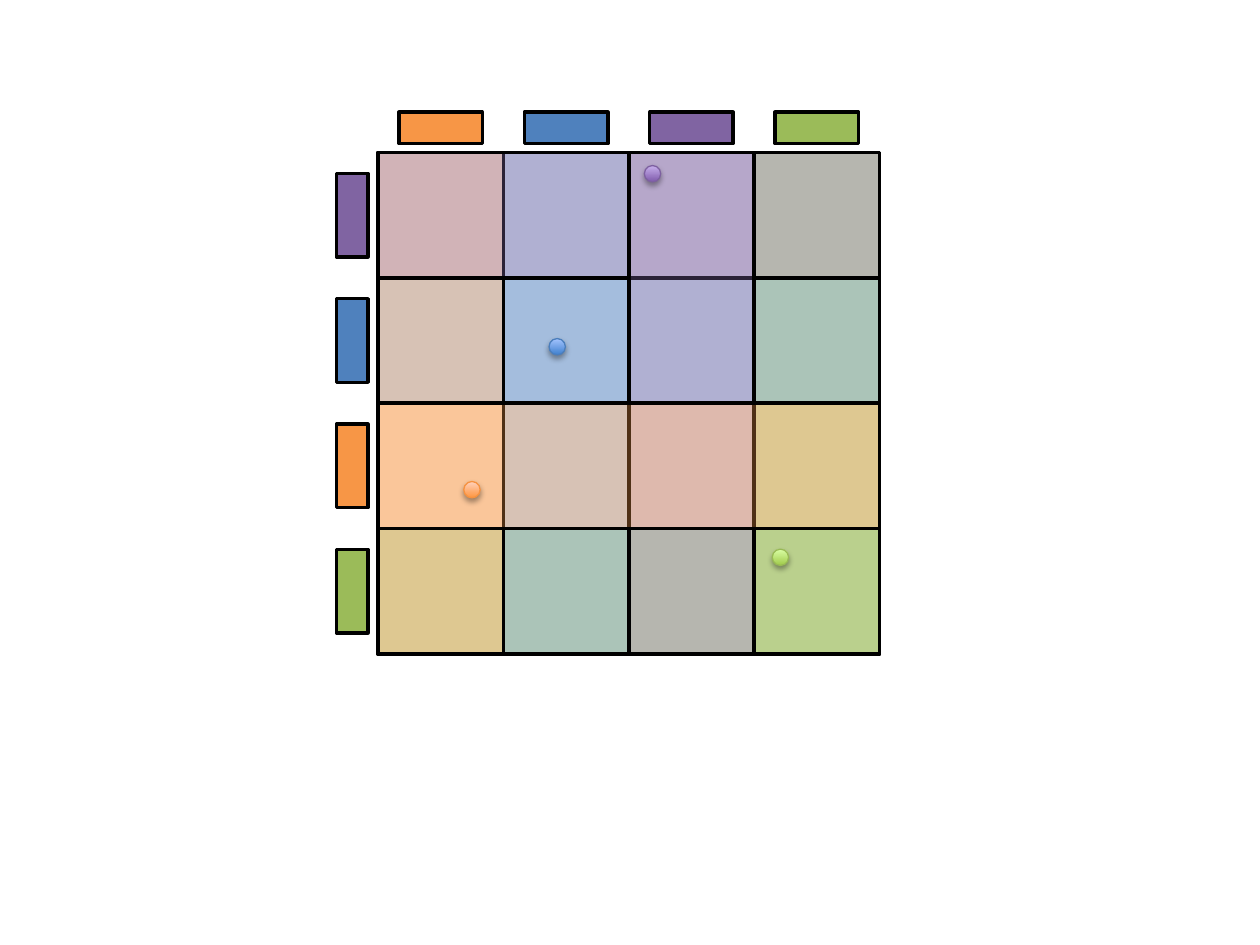
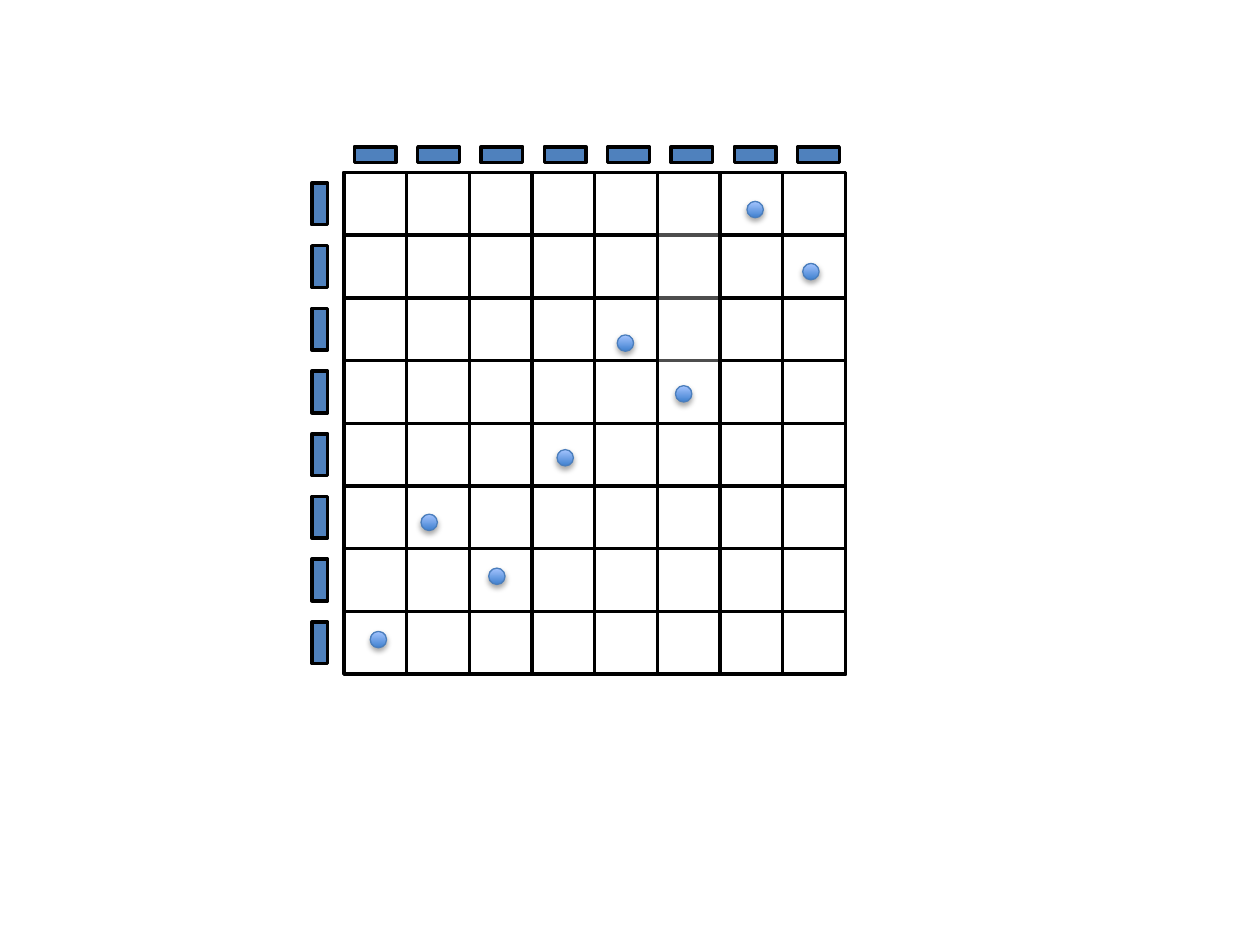
from dataclasses import dataclass

from lxml import etree
from pptx import Presentation
from pptx.dml.color import RGBColor
from pptx.enum.shapes import MSO_SHAPE
from pptx.oxml.ns import qn
from pptx.util import Inches, Pt

RECTANGLE, OVAL = MSO_SHAPE.RECTANGLE, MSO_SHAPE.OVAL
SLIDE_WIDTH, SLIDE_HEIGHT = 10, 7.5
BLANK_LAYOUT = 6
BOARD_SIDE = 3.98
DOT_SIZE = 0.13
BLACK, WHITE = "000000", "FFFFFF"
FILLS = {"blue": "4F81BD", "green": "9BBB59", "orange": "F79646", "purple": "8064A2"}
# Bottom colour, top colour and outline of a dot
DOT_COLOURS = {
    "blue": ("3F80CE", "A4C4FF", "4B7EBC"),
    "green": ("A0CA4A", "DAFFA5", "98B955"),
    "orange": ("FF953E", "FFD2BD", "F69240"),
    "purple": ("7F5BAB", "C8B0ED", "7D60A0"),
}
OPACITY = {"blue": 30, "green": 44, "orange": 32, "purple": 34}


@dataclass
class Board:
    left: float
    top: float
    count: int
    column_gap: float  # between column labels and board
    row_gap: float  # between row labels and board
    column_pitch: float = 1  # spacing of column labels, in cells

    @property
    def cell(self):
        return BOARD_SIDE / self.count


def colour(value):
    return RGBColor.from_string(value)


def set_alpha(parent, percent):
    """Make the colour found inside an XML element partly transparent."""
    srgb = next(parent.iter(qn("a:srgbClr")))
    etree.SubElement(srgb, qn("a:alpha"), val=str(percent * 1000))


def add_outlined(slide, kind, box, line, weight):
    shape = slide.shapes.add_shape(kind, *(Inches(length) for length in box))
    shape.shadow.inherit = False
    shape.line.color.rgb = colour(line)
    shape.line.width = Pt(weight)
    return shape


def add_rectangle(slide, box, fill=None, opacity=100):
    shape = add_outlined(slide, RECTANGLE, box, BLACK, 2)
    if fill is None:
        shape.fill.background()
        return
    shape.fill.solid()
    shape.fill.fore_color.rgb = colour(fill)
    if opacity < 100:
        set_alpha(shape.fill._xPr.find(qn("a:solidFill")), opacity)


def add_band(slide, board, axis, index, fill=None, opacity=100):
    """Cover one whole row or column of the board."""
    offset = index * board.cell
    if axis == "column":
        box = (board.left + offset, board.top, board.cell, BOARD_SIDE)
    else:
        box = (board.left, board.top + offset, BOARD_SIDE, board.cell)
    add_rectangle(slide, box, fill, opacity)


def add_labels(slide, board, column_names, row_names):
    """Place a small bar above each column and beside each row."""
    length, thickness = board.cell * 2 / 3, board.cell / 4
    inset = board.cell / 6
    for index, name in enumerate(column_names):
        left = board.left + inset + index * board.cell * board.column_pitch
        top = board.top - board.column_gap - thickness
        add_rectangle(slide, (left, top, length, thickness), FILLS[name])
    for index, name in enumerate(row_names):
        left = board.left - board.row_gap - thickness
        top = board.top + inset + index * board.cell
        add_rectangle(slide, (left, top, thickness, length), FILLS[name])


def add_dot(slide, board, column, row, name):
    """Centre a shaded dot on a point given in cells of the board."""
    bottom, top, outline = DOT_COLOURS[name]
    box = (board.left + column * board.cell - DOT_SIZE / 2,
           board.top + row * board.cell - DOT_SIZE / 2, DOT_SIZE, DOT_SIZE)
    dot = add_outlined(slide, OVAL, box, outline, 0.75)
    dot.fill.gradient()
    dot.fill.gradient_angle = 90
    for stop, value in zip(dot.fill.gradient_stops, (bottom, top)):
        stop.color.rgb = colour(value)
    add_shadow(dot)


def add_shadow(shape):
    effects = shape._element.spPr.find(qn("a:effectLst"))
    shadow = etree.SubElement(
        effects, qn("a:outerShdw"), blurRad=str(Pt(3.1)), dist=str(Pt(1.8)),
        dir="5400000", rotWithShape="0")
    etree.SubElement(shadow, qn("a:srgbClr"), val=BLACK)
    set_alpha(shadow, 35)


def build_coloured_board(slide):
    board = Board(left=3, top=1.21, count=4, column_gap=0.07, row_gap=0.08)
    names = {"column": ["orange", "blue", "purple", "green"],
             "row": ["purple", "blue", "orange", "green"]}
    back_to_front = [("column", 3), ("row", 3), ("row", 1), ("column", 1),
                     ("column", 0), ("row", 0), ("column", 2), ("row", 2)]
    for axis, index in back_to_front:
        name = names[axis][index]
        add_band(slide, board, axis, index, FILLS[name], OPACITY[name])
    dots = {"blue": (1.43, 1.55), "green": (3.21, 3.23),
            "orange": (0.75, 2.69), "purple": (2.19, 0.17)}
    for name, (column, row) in dots.items():
        add_dot(slide, board, column, row, name)
    add_labels(slide, board, names["column"], names["row"])


def build_fine_board(slide):
    board = Board(left=2.73, top=1.37, count=8, column_gap=0.08, row_gap=0.13,
                  column_pitch=1.01)
    veiled_columns = (1, 5)
    back_to_front = [("row", (3, 1)), ("column", (1, 0)), ("row", (0,)),
                     ("column", (2,)), ("row", (2,)), ("column", (7, 5, 4, 6)),
                     ("row", (7, 5, 4, 6)), ("column", (3,))]
    for axis, indexes in back_to_front:
        for index in indexes:
            veiled = axis == "column" and index in veiled_columns
            add_band(slide, board, axis, index, WHITE if veiled else None, 30)
    dots = [(0.55, 7.45), (1.36, 5.58), (2.44, 6.44), (3.53, 4.55),
            (4.49, 2.72), (5.42, 3.53), (6.56, 0.59), (7.45, 1.58)]
    for column, row in dots:
        add_dot(slide, board, column, row, "blue")
    labels = ["blue"] * board.count
    add_labels(slide, board, labels, labels)


def main():
    deck = Presentation()
    deck.slide_width, deck.slide_height = Inches(SLIDE_WIDTH), Inches(SLIDE_HEIGHT)
    for build in (build_coloured_board, build_fine_board):
        build(deck.slides.add_slide(deck.slide_layouts[BLANK_LAYOUT]))
    deck.save("out.pptx")


if __name__ == "__main__":
    main()
